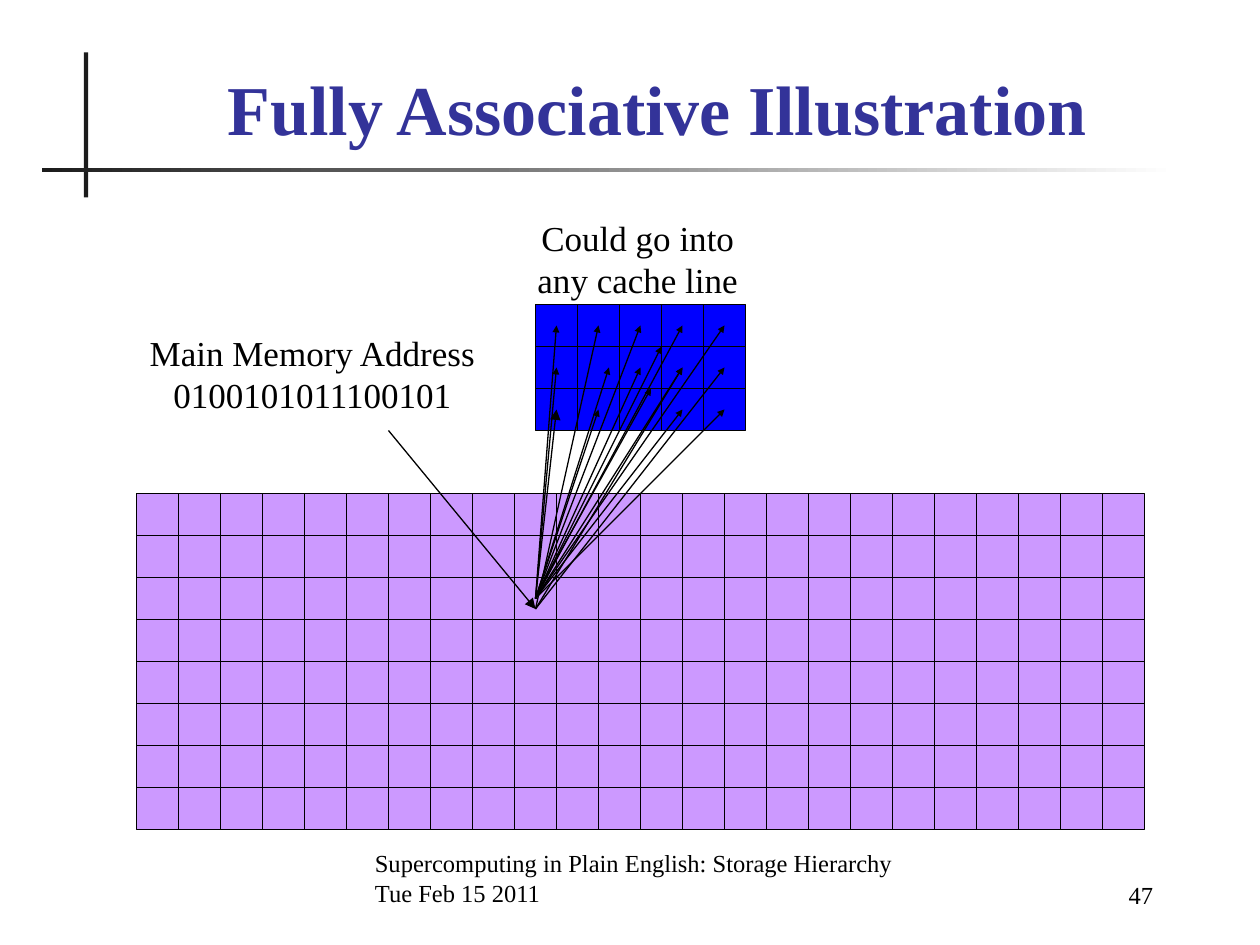
from lxml.etree import SubElement
from pptx import Presentation
from pptx.dml.color import RGBColor
from pptx.enum.shapes import MSO_CONNECTOR, MSO_SHAPE
from pptx.enum.text import MSO_ANCHOR, PP_ALIGN
from pptx.oxml.ns import qn
from pptx.util import Inches, Pt

COLORS = {
    "rule": "1C1C1C",
    "white": "FFFFFF",
    "title": "333399",
    "ink": "000000",
    "memory": "CC99FF",
    "cache": "0000FF",
}
FONT = "Times New Roman"
CELL = Inches(10) / 30
MEMORY = (3.25, 11.75, 24, 8)
CACHE = (12.75, 7.25, 5, 3)
SHIFTED_TARGETS = {(1, 1): (1.75, 1.5), (2, 2): (2.75, 2)}
SHIFTED_STARTS = {(1, 0): (0, 7.25), (4, 1): (0, 7.25), (2, 2): (0.25, 6.5)}


def color(name):
    return RGBColor.from_string(COLORS[name])


def cells(*counts):
    return [round(count * CELL) for count in counts]


def add_rectangle(shapes, box, fill):
    shape = shapes.add_shape(MSO_SHAPE.RECTANGLE, *cells(*box))
    shape.shadow.inherit = False
    shape.fill.solid()
    shape.fill.fore_color.rgb = color(fill)
    shape.line.fill.background()
    return shape


def add_line(shapes, start, end, head_size=None):
    line = shapes.add_connector(MSO_CONNECTOR.STRAIGHT, *cells(*start, *end))
    line.line.color.rgb = color("ink")
    line.line.width = Pt(0.75)
    if head_size:
        SubElement(line.line._get_or_add_ln(), qn("a:tailEnd"),
                   type="triangle", w=head_size, len=head_size)
    SubElement(line._element.spPr, qn("a:effectLst"))


def add_grid(slide, box, fill):
    left, top, columns, rows = box
    shapes = slide.shapes.add_group_shape().shapes
    frame = add_rectangle(shapes, box, fill)
    frame.line.color.rgb = color("ink")
    frame.line.width = Pt(0.75)
    for row in range(1, rows):
        add_line(shapes, (left, top + row), (left + columns, top + row))
    for column in range(1, columns):
        add_line(shapes, (left + column, top), (left + column, top + rows))


def format_text(shape, text, size, alignment, anchor, ink="ink", bold=False):
    frame = shape.text_frame
    frame.text = text
    frame.vertical_anchor = anchor
    for paragraph in frame.paragraphs:
        paragraph.alignment = alignment
        for run in paragraph.runs:
            run.font.name = FONT
            run.font.size = Pt(size)
            run.font.bold = bold
            run.font.color.rgb = color(ink)


def add_text(slide, box, text, size, alignment, anchor, wrap):
    shape = slide.shapes.add_textbox(*cells(*box))
    shape.text_frame.word_wrap = wrap
    format_text(shape, text, size, alignment, anchor)


def add_title(slide, text):
    title = slide.shapes.title
    title.left, title.top, title.width, title.height = cells(2.5, 1.5, 26.3, 2.22)
    format_text(title, text, 40, PP_ALIGN.CENTER, MSO_ANCHOR.BOTTOM, "title", True)


def add_title_rules(slide):
    add_rectangle(slide.shapes, (2, 1.25, 0.1, 3.45), "rule")
    fading_rule = add_rectangle(slide.shapes, (1, 4, 27, 0.1), "rule")
    fading_rule.fill.gradient()
    fading_rule.fill.gradient_angle = 0
    for stop, name in zip(fading_rule.fill.gradient_stops, ("rule", "white")):
        stop.color.rgb = color(name)


def add_cache_arrow(slide, start, target, head_size="sm"):
    left, top = CACHE[:2]
    add_line(slide.shapes, (left + start[0], top + start[1]),
             (left + target[0], top + target[1]), head_size)


def add_arrows(slide):
    add_cache_arrow(slide, (-3.5, 3), (0, 7.25), "med")
    add_cache_arrow(slide, (0, 7), (3, 1))
    for column in range(CACHE[2]):
        for row in range(CACHE[3]):
            place = (column, row)
            start = SHIFTED_STARTS.get(place, (0, 7))
            target = SHIFTED_TARGETS.get(place, (column + 0.5, row + 0.5))
            add_cache_arrow(slide, start, target, "med" if place == (0, 2) else "sm")
    add_cache_arrow(slide, (0, 7.25), (3.5, 1.5))


def main():
    presentation = Presentation()
    presentation.slide_width, presentation.slide_height = Inches(10), Inches(7.5)
    slide = presentation.slides.add_slide(presentation.slide_layouts[5])
    add_title_rules(slide)
    add_title(slide, "Fully Associative Illustration")
    add_grid(slide, MEMORY, "memory")
    add_grid(slide, CACHE, "cache")
    for box, text in (
        ((12.5, 5, 5.37, 2.3), "Could go into\nany cache line"),
        ((3.25, 7.75, 8.37, 2.3), "Main Memory Address\n0100101011100101"),
    ):
        add_text(slide, box, text, 20, PP_ALIGN.CENTER, MSO_ANCHOR.TOP, False)
    add_arrows(slide)
    for box, text, alignment in (
        ((8.63, 20.25, 13.1, 1.5),
         "Supercomputing in Plain English: Storage Hierarchy\nTue Feb 15 2011",
         PP_ALIGN.LEFT),
        ((23.5, 20.3, 4.25, 1.5), "47", PP_ALIGN.RIGHT),
    ):
        add_text(slide, box, text, 14, alignment, MSO_ANCHOR.BOTTOM, True)
    presentation.save("out.pptx")


if __name__ == "__main__":
    main()
